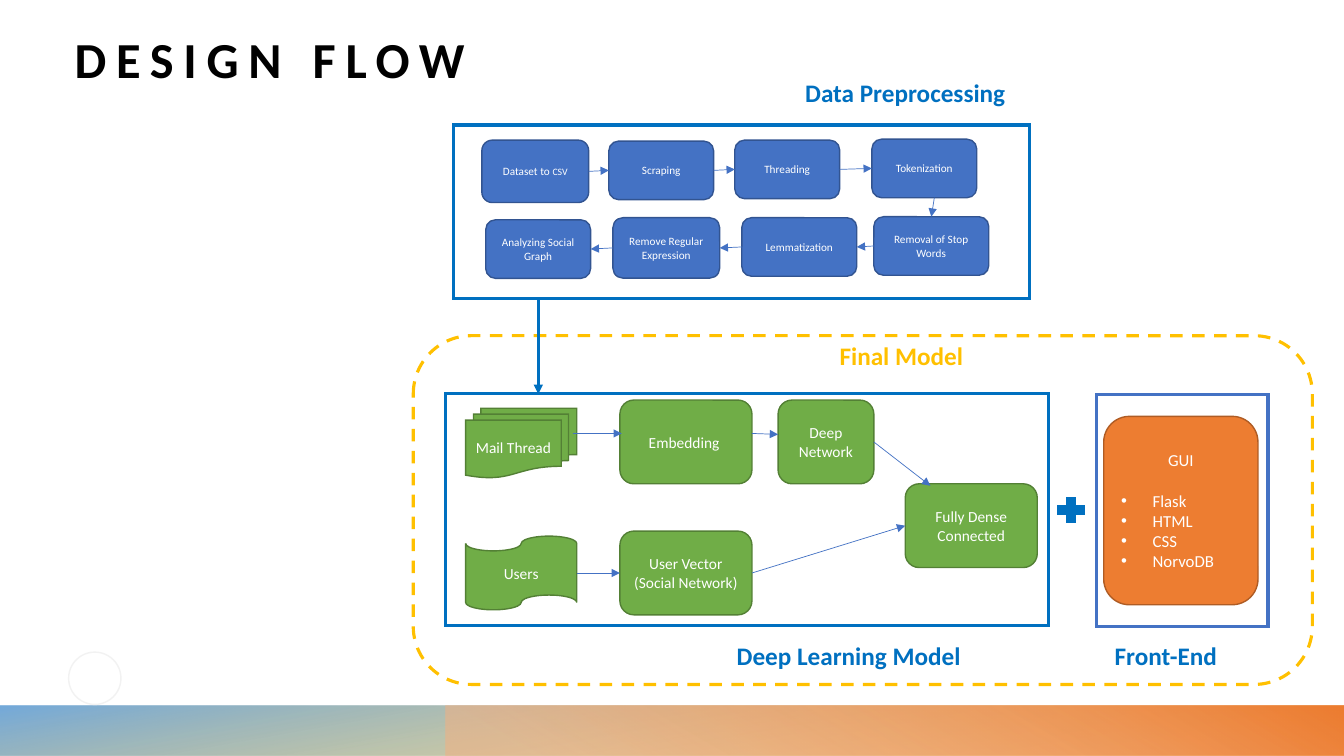
from lxml.etree import SubElement
from pptx import Presentation
from pptx.dml.color import RGBColor
from pptx.enum.dml import MSO_LINE
from pptx.enum.shapes import MSO_CONNECTOR, MSO_SHAPE
from pptx.enum.text import MSO_ANCHOR, PP_ALIGN
from pptx.oxml import parse_xml
from pptx.oxml.ns import nsdecls, qn
from pptx.util import Pt

FONT = "Calibri"
COLORS = {
    "black": "000000", "white": "FFFFFF", "pale": "F2F2F2",
    "blue": "4472C4", "navy": "325491", "azure": "0070C0",
    "green": "70AD47", "moss": "538035", "gold": "FFC000",
    "orange": "ED7D31", "rust": "AF5C24",
    "ochre": "CF9B00", "sky": "5B9BD5", "peach": "F4B183",
}
TOP, LEFT, BOTTOM, RIGHT = range(4)

# Position, angle, stops as (percent, colour, opacity)
BANDS = [
    ((0, 504, 960, 36), 260, [(14, "ochre", 28), (100, "sky", 85)]),
    ((318.2, 504, 641.8, 36), 300, [(9, "peach", 55), (99, "orange", 100)]),
]
TITLE = ("DESIGN FLOW", (53.3, 18, 362, 46.8))
LABELS = [
    ("Data Preprocessing", (568.1, 51.8, 200, 29), "azure"),
    ("Deep Learning Model", (519.1, 453.6, 216, 29), "azure"),
    ("Front-End", (789.1, 453.6, 110, 29), "azure"),
    ("Final Model", (592.6, 239.8, 135.4, 29), "gold"),
]
FRAMES = [
    ((324, 89.3, 411.1, 123.8), "azure"),
    ((318.2, 280.8, 430.6, 166.3), "azure"),
    ((783.4, 281.5, 122.4, 166.3), "blue"),
]
MODEL = (295.2, 239.8, 642.2, 249.1)
GUI = (788.4, 297.4, 110.2, 134.6)
TOOLS = ["Flask", "HTML", "CSS", "NorvoDB"]
PLUS = (753.1, 352.8, 23.8, 23)
RING = (49, 465.8, 37.4, 37.4)

ROUND = MSO_SHAPE.ROUNDED_RECTANGLE
PREP = {
    "dataset": ([[("Dataset to ", 8), ("CSV", 7)]], (344.2, 100.1, 76.3, 44.6)),
    "scrape": ([[("Scraping", 8)]], (434.9, 100.8, 74.9, 41.8)),
    "thread": ([[("Threading", 8)]], (524.9, 100.1, 74.9, 41.8)),
    "token": ([[("Tokenization", 8)]], (622.8, 99.4, 74.9, 41.8)),
    "stop": ([[("Removal of Stop Words", 8)]], (624.2, 154.8, 82.1, 41.8)),
    "lemma": ([[("Lemmatization", 8)]], (529.9, 155.5, 82.1, 41.8)),
    "regex": ([[("Remove Regular Expression", 8)]], (437.8, 155.5, 76.3, 43.2)),
    "graph": ([[("Analyzing Social Graph", 8)]], (347, 157, 74.9, 41.8)),
}
DEEP = {
    "mail": (["Mail Thread"], (332.6, 291.6, 79.4, 49.7),
             MSO_SHAPE.FLOWCHART_MULTIDOCUMENT),
    "embed": (["Embedding "], (442.8, 285.8, 94.3, 59.8), ROUND),
    "deep": (["Deep Network"], (555.8, 285.8, 68.4, 59.8), ROUND),
    "users": (["Users"], (332.6, 383, 79.4, 52.6),
              MSO_SHAPE.FLOWCHART_PUNCHED_TAPE),
    "vector": (["User Vector", "(Social Network)"],
               (442.8, 379.4, 94.3, 59.8), ROUND),
    "dense": (["Fully Dense Connected"], (646.6, 345.6, 94.3, 59.8), ROUND),
}
# Each end is either (box, side) or a plain point
ARROWS = [
    (("dataset", RIGHT), ("scrape", LEFT)),
    (("scrape", RIGHT), ("thread", LEFT)),
    (("thread", RIGHT), ("token", LEFT)),
    ((667.4, 141.2), ("stop", TOP)),
    (("stop", LEFT), ("lemma", RIGHT)),
    (("lemma", LEFT), ("regex", RIGHT)),
    (("regex", LEFT), ("graph", RIGHT)),
    ((409, 309.6), (444.2, 309.6)),
    ((537.1, 309.6), (555.8, 310.3)),
    (("users", RIGHT), ("vector", LEFT)),
    (("vector", RIGHT), ("dense", LEFT)),
    (("deep", RIGHT), (664.6, 347)),
]
FEED = ((384.5, 213.1), (384.5, 281.5))


def rgb(name):
    return RGBColor.from_string(COLORS[name])


def add_shape(kind, box, fill=None, line=None, width=1):
    shape = slide.shapes.add_shape(kind, *map(Pt, box))
    shape.shadow.inherit = False
    if fill:
        shape.fill.solid()
        shape.fill.fore_color.rgb = rgb(fill)
    else:
        shape.fill.background()
    if line:
        shape.line.color.rgb = rgb(line)
        shape.line.width = Pt(width)
        SubElement(shape.line._get_or_add_ln(), qn("a:miter"), lim="800000")
    else:
        shape.line.fill.background()
    return shape


def add_run(para, text, size, color, bold=False):
    run = para.add_run()
    run.text = text
    run.font.name = FONT
    run.font.size = Pt(size)
    run.font.bold = bold
    run.font.color.rgb = rgb(color)
    return run


def write(shape, paras):
    """Fill a shape with centred paragraphs, each a list of (text, size)."""
    frame = shape.text_frame
    frame.word_wrap = True
    frame.vertical_anchor = MSO_ANCHOR.MIDDLE
    for i, runs in enumerate(paras):
        para = frame.add_paragraph() if i else frame.paragraphs[0]
        para.alignment = PP_ALIGN.CENTER
        for text, size in runs:
            add_run(para, text, size, "white")


def add_label(text, box, size, color):
    label = slide.shapes.add_textbox(*map(Pt, box))
    label.text_frame.word_wrap = True
    run = add_run(label.text_frame.paragraphs[0], text, size, color, True)
    return label.text_frame, run


def add_band(box, angle, stops):
    band = add_shape(MSO_SHAPE.RECTANGLE, box)
    marks = "".join(
        f'<a:gs pos="{pos * 1000}"><a:srgbClr val="{COLORS[name]}">'
        f'<a:alpha val="{alpha * 1000}"/></a:srgbClr></a:gs>'
        for pos, name, alpha in stops)
    grad = parse_xml(
        f'<a:gradFill {nsdecls("a")} rotWithShape="1"><a:gsLst>{marks}</a:gsLst>'
        f'<a:lin ang="{angle * 60000}" scaled="0"/></a:gradFill>')
    props = band._element.spPr
    props.replace(props.find(qn("a:noFill")), grad)


def add_arrow(start, end, color="blue", width=0.5):
    def spot(tip):
        return (0, 0) if tip[0] in boxes else tip

    link = slide.shapes.add_connector(
        MSO_CONNECTOR.STRAIGHT, *map(Pt, spot(start) + spot(end)))
    if start[0] in boxes:
        link.begin_connect(boxes[start[0]], start[1])
    if end[0] in boxes:
        link.end_connect(boxes[end[0]], end[1])
    link.line.color.rgb = rgb(color)
    link.line.width = Pt(width)
    SubElement(link.line._get_or_add_ln(), qn("a:tailEnd"), type="triangle")
    SubElement(link._element.spPr, qn("a:effectLst"))


deck = Presentation()
deck.slide_width, deck.slide_height = Pt(960), Pt(540)
slide = deck.slides.add_slide(deck.slide_layouts[6])

for band in BANDS:
    add_band(*band)

frame, run = add_label(*TITLE, 36, "black")
frame.margin_left = frame.margin_right = frame.margin_top = frame.margin_bottom = 0
frame.vertical_anchor = MSO_ANCHOR.MIDDLE
run._r.get_or_add_rPr().set("spc", "700")

model = add_shape(ROUND, MODEL, line="gold", width=2.25)
model.line.dash_style = MSO_LINE.DASH

gui = add_shape(ROUND, GUI, "orange", "rust")
write(gui, [[("GUI", 12)]])
gui.text_frame.paragraphs[0].space_after = Pt(14.6)
for tool in TOOLS:
    para = gui.text_frame.add_paragraph()
    para.alignment = PP_ALIGN.JUSTIFY
    props = para._p.get_or_add_pPr()
    props.set("marL", str(Pt(22.5)))
    props.set("indent", str(-Pt(22.5)))
    SubElement(props, qn("a:buFont"), typeface="Arial")
    SubElement(props, qn("a:buChar"), char="•")
    add_run(para, tool, 12, "white")

boxes = {}
for name, (paras, box) in PREP.items():
    boxes[name] = add_shape(ROUND, box, "blue", "navy")
    write(boxes[name], paras)
for name, (lines, box, kind) in DEEP.items():
    boxes[name] = add_shape(kind, box, "green", "moss")
    write(boxes[name], [[(text, 11)] for text in lines])

for box, color in FRAMES:
    add_shape(MSO_SHAPE.RECTANGLE, box, line=color, width=2.25)
for start, end in ARROWS:
    add_arrow(start, end)
add_arrow(*FEED, "azure", 2.25)

for text, box, color in LABELS:
    add_label(text, box, 18, color)
add_shape(MSO_SHAPE.MATH_PLUS, PLUS, "azure", "azure", 2.25)
add_shape(MSO_SHAPE.FLOWCHART_CONNECTOR, RING, line="pale")

deck.save("out.pptx")
